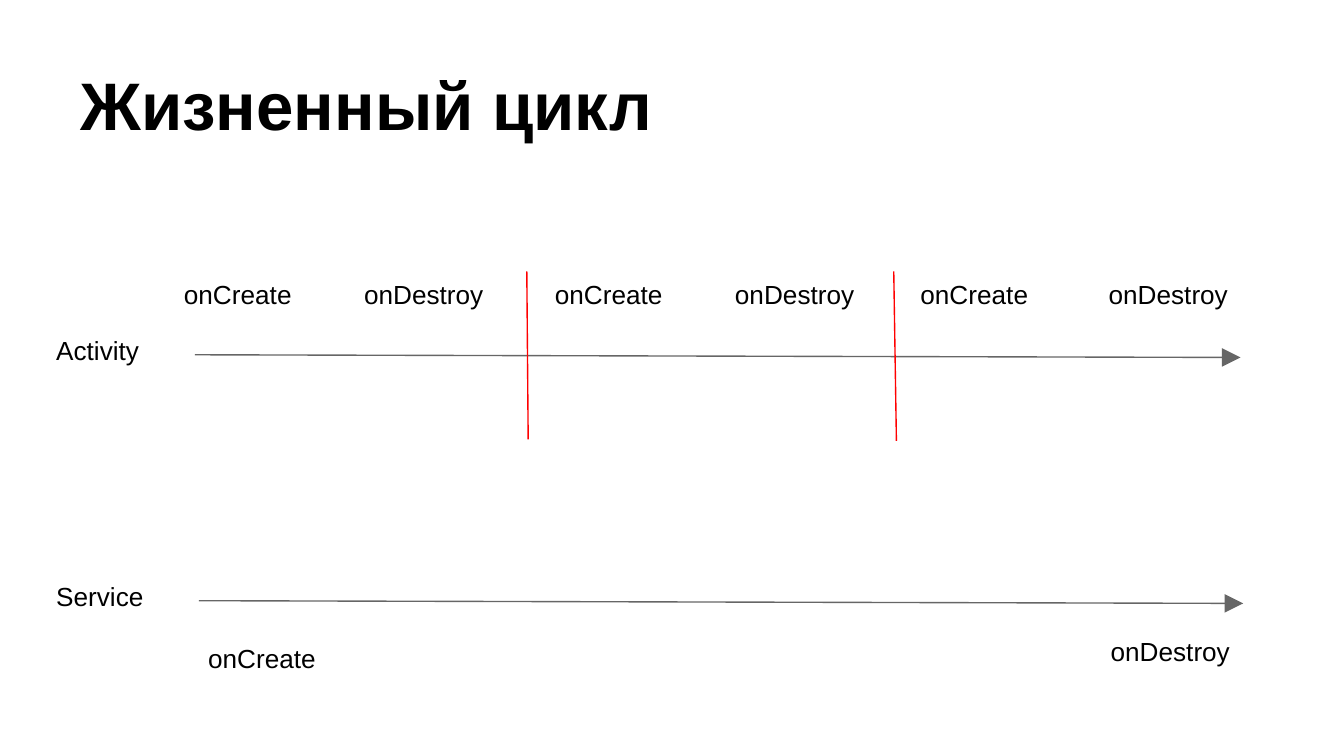
"""Build the slide comparing the life cycles of an activity and a service."""
from lxml.etree import SubElement
from pptx import Presentation
from pptx.dml.color import RGBColor
from pptx.enum.shapes import MSO_CONNECTOR
from pptx.enum.text import MSO_ANCHOR, PP_ALIGN
from pptx.oxml.ns import qn
from pptx.util import Pt

PX = 9144
WIDTH = 1000
PAD = 10
FONT = "Arial"
COLORS = {"text": "000000", "arrow": "666666", "divider": "FF0000"}

TITLE = ("Жизненный цикл", (50, 23, 900, 94))
ROW_LABELS = [("Activity", 239), ("Service", 422)]
CYCLES = [(127, 265, 134), (403, 255, 134), (675, 259, 140)]
SERVICE_EVENTS = [
    ("onCreate", (145, 468, 140, 42), PP_ALIGN.LEFT),
    ("onDestroy", (797, 463, 128, 51), PP_ALIGN.RIGHT),
]
ARROWS = [(145, 264, 923, 266), (148, 447, 925, 449)]
DIVIDERS = [(392, 202, 393, 327), (665, 202, 667, 328)]


def emu(values):
    return [v * PX for v in values]


def write(sp, text, size, bold=False, align=PP_ALIGN.LEFT, anchor=MSO_ANCHOR.TOP, tab=None):
    tf = sp.text_frame
    tf.word_wrap = True
    tf.vertical_anchor = anchor
    tf.margin_left = tf.margin_right = tf.margin_top = tf.margin_bottom = PAD * PX
    p = tf.paragraphs[0]
    p.alignment = align
    if tab:
        tabs = SubElement(p._p.get_or_add_pPr(), qn("a:tabLst"))
        SubElement(tabs, qn("a:tab"), pos=str(tab * PX), algn="l")
    r = p.add_run()
    r.text = text
    r.font.name = FONT
    r.font.size = Pt(size)
    r.font.bold = bold
    r.font.color.rgb = RGBColor.from_string(COLORS["text"])


def add_label(s, text, box, **style):
    write(s.shapes.add_textbox(*emu(box)), text, 14, **style)


def add_line(s, ends, color, arrow=False):
    line = s.shapes.add_connector(MSO_CONNECTOR.STRAIGHT, *emu(ends))
    line.line.color.rgb = RGBColor.from_string(COLORS[color])
    line.line.width = Pt(0.75)
    if arrow:
        SubElement(line.line._get_or_add_ln(), qn("a:tailEnd"), type="triangle", w="lg", len="lg")
    SubElement(line._element.spPr, qn("a:effectLst"))


def main():
    prs = Presentation()
    prs.slide_width = WIDTH * PX
    prs.slide_height = WIDTH * PX * 9 // 16
    s = prs.slides.add_slide(prs.slide_layouts[5])

    text, box = TITLE
    title = s.shapes.title
    title.left, title.top, title.width, title.height = emu(box)
    write(title, text, 36, bold=True, anchor=MSO_ANCHOR.BOTTOM)

    for ends in ARROWS:
        add_line(s, ends, "arrow", arrow=True)
    for text, top in ROW_LABELS:
        add_label(s, text, (32, top, 87, 51))
    for left, width, tab in CYCLES:
        add_label(s, "onCreate\tonDestroy", (left, 197, width, 42), tab=tab)
    for text, box, align in SERVICE_EVENTS:
        add_label(s, text, box, align=align)
    for ends in DIVIDERS:
        add_line(s, ends, "divider")

    prs.save("out.pptx")


if __name__ == "__main__":
    main()
